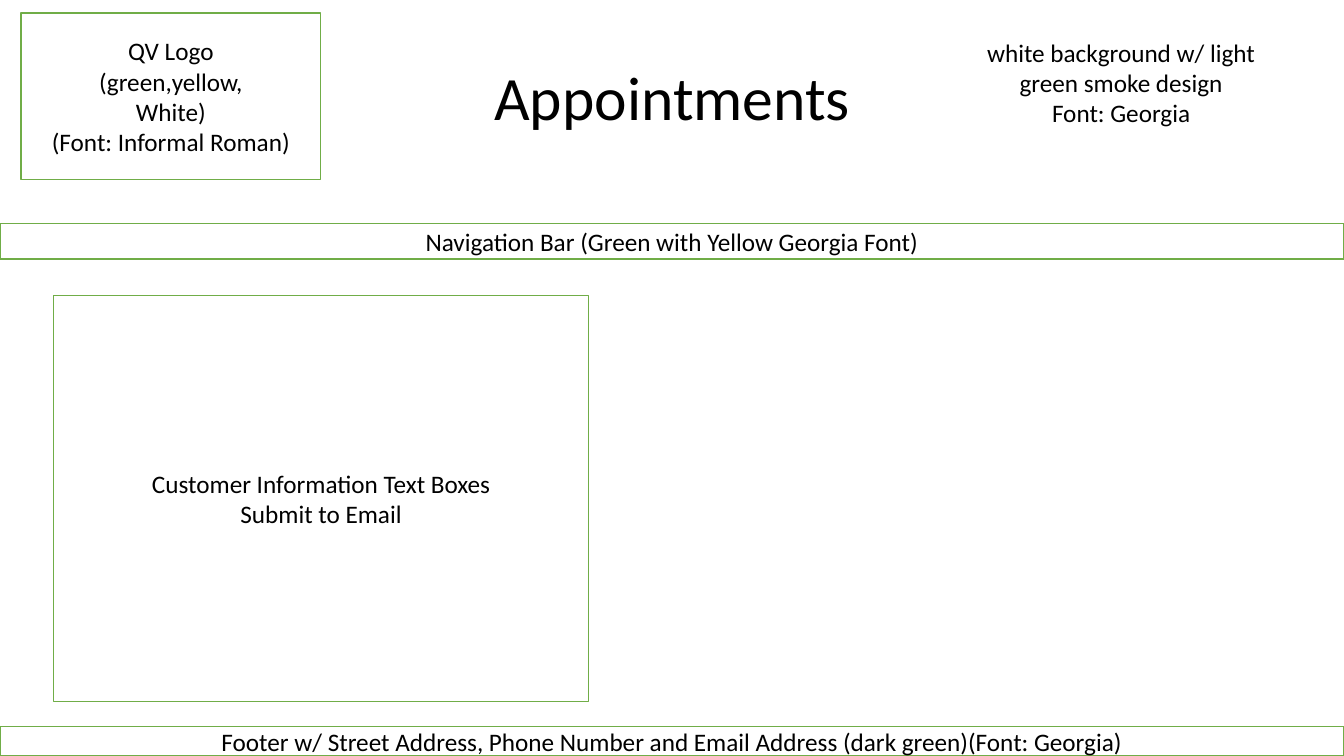
"""Build the wireframe slide for an appointments web page."""
from dataclasses import dataclass

from pptx import Presentation
from pptx.dml.color import RGBColor
from pptx.enum.shapes import MSO_SHAPE
from pptx.enum.text import MSO_ANCHOR, PP_ALIGN
from pptx.slide import Slide
from pptx.text.text import TextFrame
from pptx.util import Inches, Pt

COLOURS = {"fill": "FFFFFF", "outline": "70AD47", "text": "000000"}
FONT = "Calibri"
PAGE_WIDTH, PAGE_HEIGHT = 13.33, 7.5


@dataclass(frozen=True)
class Block:
    left: float
    top: float
    width: float
    height: float
    text: str
    size: int = 18
    framed: bool = True


FOOTER_HEIGHT = 0.29
BLOCKS = [
    Block(0, PAGE_HEIGHT - FOOTER_HEIGHT, PAGE_WIDTH, FOOTER_HEIGHT,
          "Footer w/ Street Address, Phone Number and Email Address (dark green)(Font: Georgia)"),
    Block(0.21, 0.13, 2.97, 1.65,
          "QV Logo\n(green,yellow,\nWhite)\n(Font: Informal Roman)"),
    Block(4.09, 0.54, 5.16, 0.84, "Appointments", size=44, framed=False),
    Block(9.54, 0.32, 3.16, 1.01,
          "white background w/ light green smoke design\nFont: Georgia", framed=False),
    Block(0, 2.22, PAGE_WIDTH, 0.35, "Navigation Bar (Green with Yellow Georgia Font)"),
    Block(0.53, 2.93, 5.31, 4.03, "Customer Information Text Boxes\nSubmit to Email"),
]


def write_text(frame: TextFrame, block: Block) -> None:
    frame.word_wrap = True
    frame.vertical_anchor = MSO_ANCHOR.MIDDLE if block.framed else MSO_ANCHOR.TOP
    frame.text = block.text
    for paragraph in frame.paragraphs:
        paragraph.alignment = PP_ALIGN.CENTER
        for span in paragraph.runs:
            span.font.name = FONT
            span.font.size = Pt(block.size)
            span.font.color.rgb = RGBColor.from_string(COLOURS["text"])


def draw_block(page: Slide, block: Block) -> None:
    bounds = [Inches(length) for length in (block.left, block.top, block.width, block.height)]
    if block.framed:
        box = page.shapes.add_shape(MSO_SHAPE.RECTANGLE, *bounds)
        box.shadow.inherit = False
        box.fill.solid()
        box.fill.fore_color.rgb = RGBColor.from_string(COLOURS["fill"])
        box.line.color.rgb = RGBColor.from_string(COLOURS["outline"])
        box.line.width = Pt(1)
    else:
        box = page.shapes.add_textbox(*bounds)
    write_text(box.text_frame, block)


def main() -> None:
    deck = Presentation()
    deck.slide_width = Inches(PAGE_WIDTH)
    deck.slide_height = Inches(PAGE_HEIGHT)
    page = deck.slides.add_slide(deck.slide_layouts[6])
    for block in BLOCKS:
        draw_block(page, block)
    deck.save("out.pptx")


if __name__ == "__main__":
    main()
